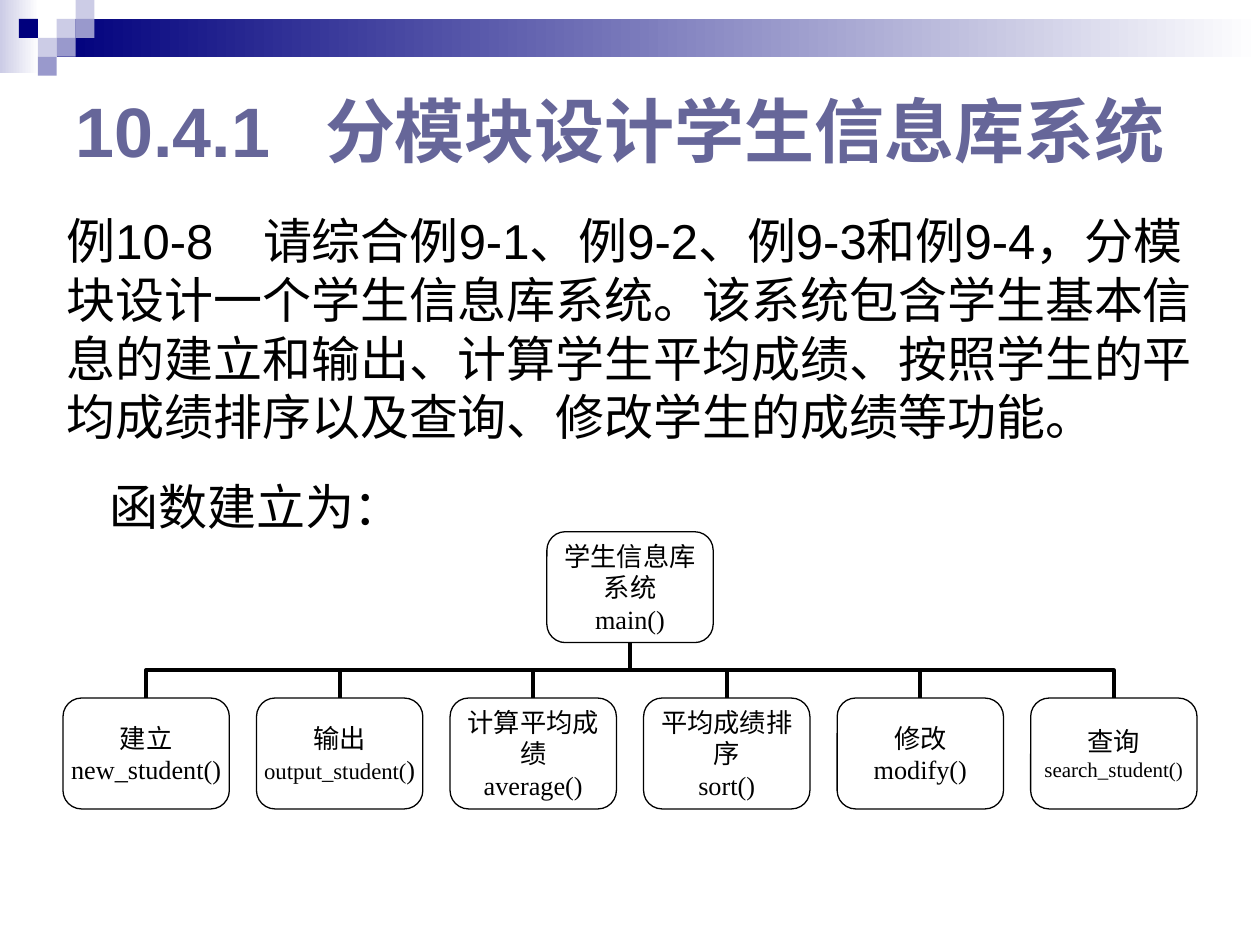
import pptx
import pptx.util
import pptx.dml.color
import pptx.enum.shapes
import pptx.enum.text
import pptx.oxml
import pptx.oxml.ns
from lxml import etree

COLORS = {"navy": "00007D", "pale": "CCCCE6", "lilac": "9999CC",
          "white": "FFFFFF", "title": "666699", "ink": "000000"}
TITLE = "10.4.1\t分模块设计学生信息库系统"
EXAMPLE = ("例10-8\t请综合例9-1、例9-2、例9-3和例9-4，分模块设计一个学生信息库系统。"
           "该系统包含学生基本信息的建立和输出、计算学生平均成绩、按照学生的平均成绩排序"
           "以及查询、修改学生的成绩等功能。")
FUNCTIONS_LEAD = "函数建立为："
MAIN_MODULE = ("学生信息库系统", [("main()", 15)])
MODULES = [
    ("建立", [("new_student()", 15)]),
    ("输出", [("output_student(", 13), (")", 15)]),
    ("计算平均成绩", [("average()", 15)]),
    ("平均成绩排序", [("sort()", 15)]),
    ("修改", [("modify()", 15)]),
    ("查询", [("search_student()", 12)]),
]
BANDS = [(0, 0, 0.31, 0.58, "pale"), (0.45, 0.15, 9.55, 0.3, "navy")]
TILE = 0.15
TILES = [(3, 1, "pale"), (4, 0, "pale"), (4, 1, "lilac"), (2, 2, "pale"),
         (1, 1, "navy"), (3, 2, "lilac"), (2, 3, "lilac")]
SLIDE_W, SLIDE_H = 10, 7.5
MARGIN = 0.5
BOX_W, BOX_H = 1.32, 0.88
MAIN_TOP, MODULE_TOP = 4.22, 5.54

inch = pptx.util.Inches
points = pptx.util.Pt
SHAPES = pptx.enum.shapes.MSO_SHAPE
qn = pptx.oxml.ns.qn


def color(name):
    return pptx.dml.color.RGBColor.from_string(COLORS[name])


def set_font(font, size, name, shade, bold=False):
    font.size = points(size)
    font.name = name
    font.bold = bold
    font.color.rgb = color(shade)


def add_tab(paragraph, position):
    tabs = etree.SubElement(paragraph._p.get_or_add_pPr(), qn("a:tabLst"))
    etree.SubElement(tabs, qn("a:tab"), pos=str(inch(position)), algn="l")


def add_block(slide, kind, left, top, width, height):
    block = slide.shapes.add_shape(kind, inch(left), inch(top), inch(width), inch(height))
    block.shadow.inherit = False
    return block


def add_decoration(slide):
    for left, top, width, height, shade in BANDS:
        band = add_block(slide, SHAPES.RECTANGLE, left, top, width, height)
        band.line.fill.background()
        band.fill.gradient()
        band.fill.gradient_angle = 0
        for stop, name in zip(band.fill.gradient_stops, (shade, "white")):
            stop.color.rgb = color(name)
    for column, row, shade in TILES:
        tile = add_block(slide, SHAPES.RECTANGLE, column * TILE, row * TILE, TILE, TILE)
        tile.line.fill.background()
        tile.fill.solid()
        tile.fill.fore_color.rgb = color(shade)


def add_title(slide):
    title = slide.shapes.title
    title.left, title.top = inch(MARGIN), inch(0.5)
    title.width, title.height = inch(SLIDE_W - 2 * MARGIN), inch(1.05)
    frame = title.text_frame
    frame.text = TITLE
    frame.auto_size = pptx.enum.text.MSO_AUTO_SIZE.NONE
    frame.vertical_anchor = pptx.enum.text.MSO_ANCHOR.MIDDLE
    heading = frame.paragraphs[0]
    heading.alignment = pptx.enum.text.PP_ALIGN.LEFT
    add_tab(heading, 1.98)
    set_font(heading.font, 40, "Arial", "title", True)


def add_body(slide):
    frame = slide.shapes.add_textbox(inch(0.43), inch(1.62), inch(9.14), inch(2.68)).text_frame
    frame.word_wrap = True
    example, lead = frame.paragraphs[0], frame.add_paragraph()
    example.text, lead.text = EXAMPLE, FUNCTIONS_LEAD
    add_tab(example, 1.56)
    lead._p.get_or_add_pPr().set("marL", str(inch(0.34)))
    lead.space_before = points(17.5)
    for paragraph in (example, lead):
        set_font(paragraph.font, 28, "Arial", "ink")


def add_module(slide, module, left, top):
    label, call = module
    box = add_block(slide, SHAPES.ROUNDED_RECTANGLE, left, top, BOX_W, BOX_H)
    box.fill.background()
    box.line.color.rgb = color("ink")
    box.line.width = points(0.75)
    frame = box.text_frame
    frame.word_wrap = True
    frame.vertical_anchor = pptx.enum.text.MSO_ANCHOR.MIDDLE
    frame.margin_left = frame.margin_right = frame.margin_top = frame.margin_bottom = 0
    name, signature = frame.paragraphs[0], frame.add_paragraph()
    name.text = label
    for text, size in call:
        run = signature.add_run()
        run.text = text
        if len(call) > 1:
            run.font.size = points(size)
    for paragraph, size in ((name, 15), (signature, call[0][1])):
        paragraph.alignment = pptx.enum.text.PP_ALIGN.CENTER
        set_font(paragraph.font, size, "Times New Roman", "ink")
    return box


def join(slide, module, main):
    start_x, start_y = module.left + module.width // 2, module.top
    end_x, end_y = main.left + main.width // 2, main.top + main.height
    branch = slide.shapes.add_connector(
        pptx.enum.shapes.MSO_CONNECTOR.ELBOW, start_x, start_y, end_x, end_y)
    branch.begin_connect(module, 0)
    branch.end_connect(main, 2)
    across, rise = abs(end_x - start_x), start_y - end_y
    branch.width, branch.height = rise, across
    branch.left = (start_x + end_x - rise) // 2
    branch.top = (start_y + end_y - across) // 2
    on_left = start_x < end_x
    frame = branch._element.spPr.find(qn("a:xfrm"))
    frame.set("rot", str((90 if on_left else 270) * 60000))
    frame.set("flipH", "1" if on_left else "0")
    frame.set("flipV", "1")
    branch.line.color.rgb = color("ink")
    branch.line.width = points(2.25)
    etree.SubElement(branch._element.spPr, qn("a:effectLst"))


def main():
    deck = pptx.Presentation()
    deck.slide_width, deck.slide_height = inch(SLIDE_W), inch(SLIDE_H)
    slide = deck.slides.add_slide(deck.slide_layouts[5])
    add_decoration(slide)
    add_title(slide)
    main_box = add_module(slide, MAIN_MODULE, (SLIDE_W - BOX_W) / 2, MAIN_TOP)
    pitch = (SLIDE_W - 2 * MARGIN - BOX_W) / (len(MODULES) - 1)
    for column, module in enumerate(MODULES):
        join(slide, add_module(slide, module, MARGIN + column * pitch, MODULE_TOP), main_box)
    add_body(slide)
    deck.save("out.pptx")


if __name__ == "__main__":
    main()
